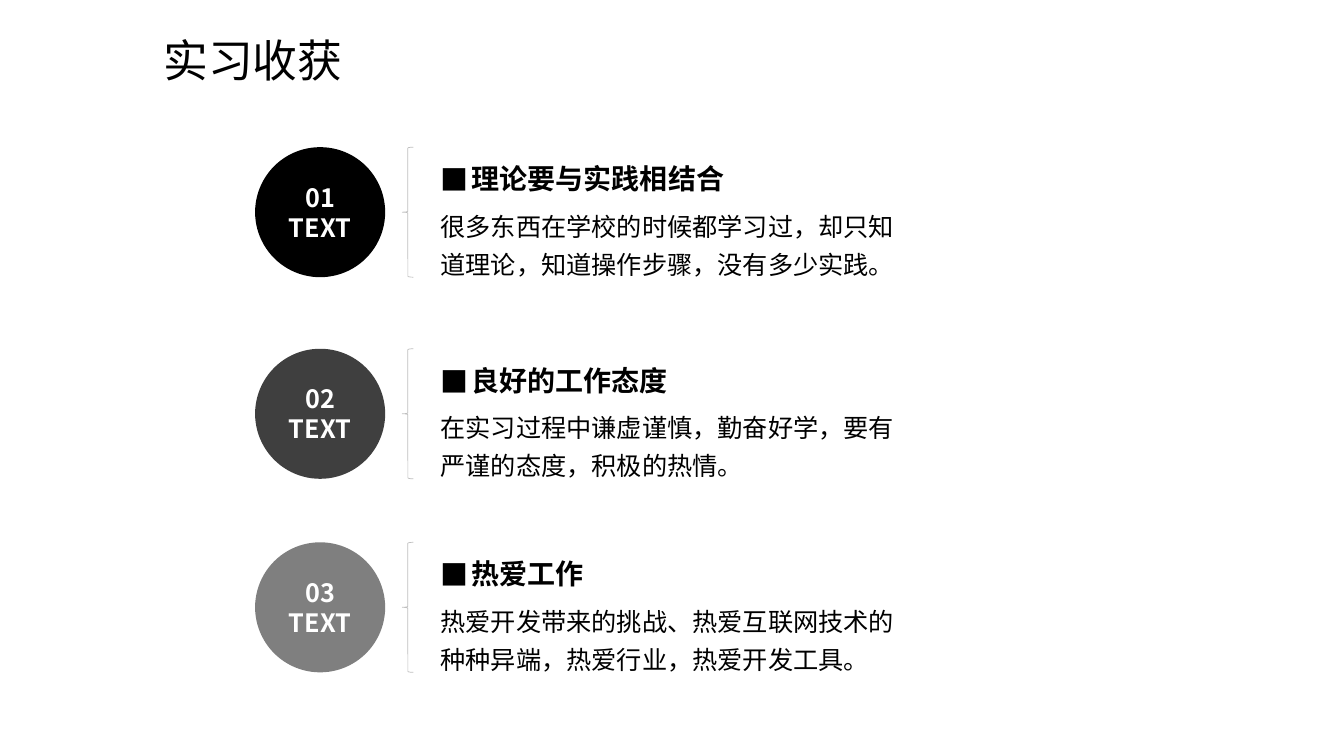
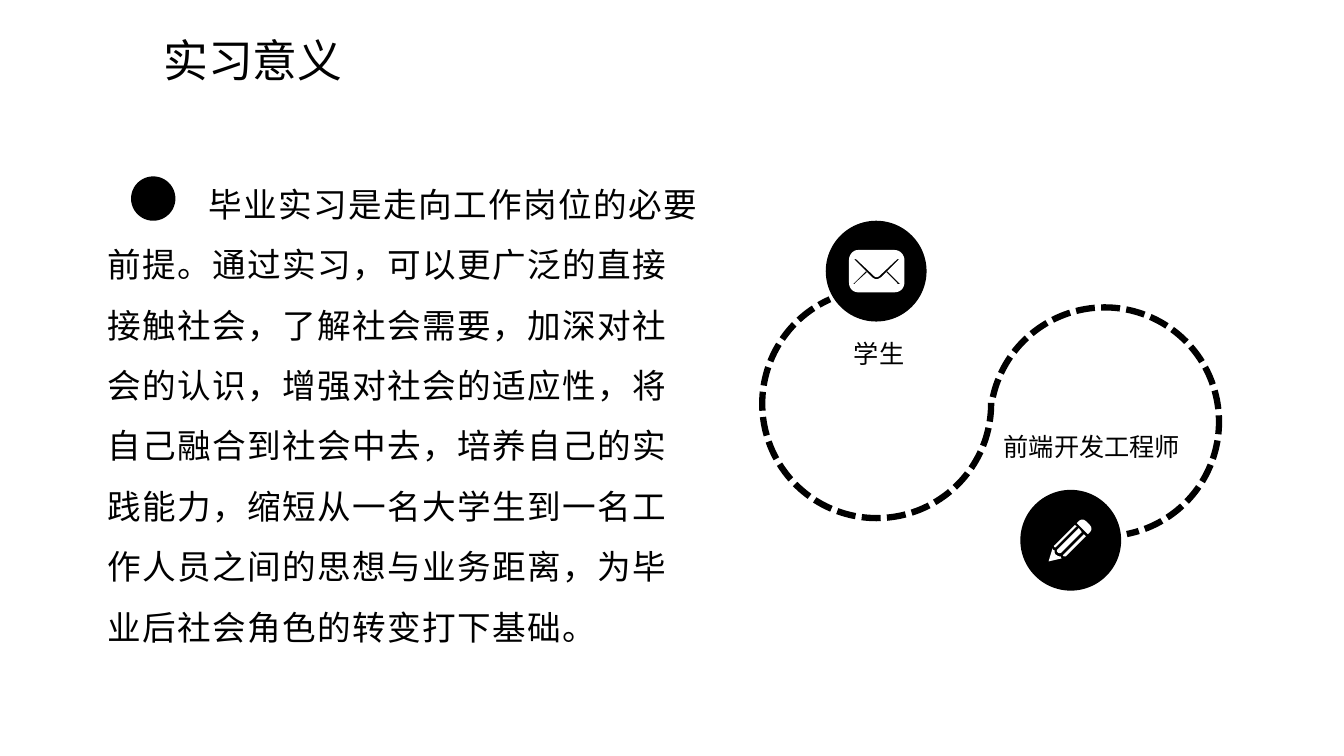
from dataclasses import dataclass
from typing import Any

from lxml.etree import SubElement
from pptx import Presentation
from pptx.dml.color import RGBColor
from pptx.enum.dml import MSO_LINE
from pptx.enum.shapes import MSO_SHAPE
from pptx.enum.text import MSO_ANCHOR, MSO_AUTO_SIZE, PP_ALIGN
from pptx.oxml.ns import qn
from pptx.util import Pt

PX = 9144
FONT = "Noto Sans CJK SC"
BLACK, WHITE, GREY = "000000", "FFFFFF", "BFBFBF"
Box = tuple[int, int, int, int]
Path = list[tuple[int, ...]]

TITLE = {"size": Pt(32), "bold": False}
HEAD = {"size": Pt(20), "bold": True}
BADGE = {"size": Pt(18), "bold": True}
PLAIN = {"size": Pt(18), "bold": False}
PROSE = {"size": Pt(24), "bold": False}
LEFT = {"alignment": PP_ALIGN.LEFT}
MID = {"alignment": PP_ALIGN.CENTER}
FIRST = {"line_spacing": 1.25, "space_before": Pt(0)}
NEXT = {"line_spacing": 1.25, "space_before": Pt(6)}
LOOSE = {"line_spacing": 1.5, "space_before": Pt(0), "alignment": PP_ALIGN.LEFT}
FRAME = {"word_wrap": True, "auto_size": MSO_AUTO_SIZE.NONE}
CENTRE = {"vertical_anchor": MSO_ANCHOR.MIDDLE, "auto_size": MSO_AUTO_SIZE.NONE}


@dataclass
class Gain:
    top: int
    fill: str
    num: str
    head: str
    text: str


@dataclass
class Arc:
    box: Box
    turn: float


@dataclass
class Stop:
    dot: tuple[int, int]
    label: Box
    text: str
    icon: list[Path]


GAINS = [
    Gain(146, BLACK, "01", "理论要与实践相结合",
         "很多东西在学校的时候都学习过，却只知道理论，知道操作步骤，没有多少实践。"),
    Gain(346, "3F3F3F", "02", "良好的工作态度",
         "在实习过程中谦虚谨慎，勤奋好学，要有严谨的态度，积极的热情。"),
    Gain(538, "7F7F7F", "03", "热爱工作",
         "热爱开发带来的挑战、热爱互联网技术的种种异端，热爱行业，热爱开发工具。"),
]

MAIL: list[Path] = [
    [(880, 269), (879, 270), (890, 281), (890, 282), (893, 282)],
    [(859, 269), (846, 282), (848, 282), (848, 281), (860, 270)],
    [(847, 257), (865, 275), (866, 276, 868, 277, 869, 277),
     (871, 277, 872, 276, 874, 275), (892, 257), (890, 257), (873, 273),
     (872, 274, 871, 275, 869, 275), (868, 275, 867, 274, 866, 273), (849, 257)],
    [(851, 248), (887, 248), (893, 248, 897, 253, 897, 258), (897, 280),
     (897, 286, 893, 290, 887, 290), (851, 290),
     (846, 290, 842, 286, 842, 280), (842, 258), (842, 253, 846, 248, 851, 248)],
]
PENCIL: list[Path] = [
    [(1081, 528), (1079, 530), (1068, 519), (1070, 517),
     (1072, 515, 1075, 515, 1077, 517), (1081, 521),
     (1083, 523, 1083, 526, 1081, 528)],
    [(1055, 550), (1054, 551, 1054, 551, 1055, 552),
     (1055, 552, 1056, 552, 1057, 552), (1077, 532), (1075, 530)],
    [(1046, 541), (1045, 541, 1045, 542, 1046, 543),
     (1046, 543, 1047, 543, 1047, 543), (1068, 522), (1066, 521)],
    [(1070, 524), (1049, 545), (1048, 546, 1048, 547, 1049, 548),
     (1050, 549, 1052, 549, 1053, 548), (1073, 528)],
    [(1053, 554), (1052, 553, 1052, 552, 1052, 552), (1051, 552),
     (1050, 552, 1048, 551, 1047, 550), (1046, 549, 1046, 548, 1046, 546),
     (1045, 546, 1044, 545, 1044, 545), (1044, 544), (1040, 557)],
]

ARCS = [Arc((982, 305, 227, 227), 78.8), Arc((756, 287, 227, 227), 245.9)]
STOPS = [
    Stop((819, 219), (782, 331, 180, 40), "学生", MAIL),
    Stop((1012, 486), (977, 423, 212, 40), "前端开发工程师", PENCIL),
]
ESSAY = (
    "毕业实习是走向工作岗位的必要前提。通过实习，可以更广泛的直接接触社会，"
    "了解社会需要，加深对社会的认识，增强对社会的适应性，将自己融合到社会中去，"
    "培养自己的实践能力，缩短从一名大学生到一名工作人员之间的思想与业务距离，"
    "为毕业后社会角色的转变打下基础。"
)


def tint(code: str) -> RGBColor:
    return RGBColor.from_string(code)


def apply(item: Any, form: dict) -> None:
    for key, value in form.items():
        setattr(item, key, value)


def place(shape: Any, box: Box) -> None:
    apply(shape, dict(zip(("left", "top", "width", "height"), (n * PX for n in box))))


def write(para: Any, text: str, font: dict, form: dict, ink: str = BLACK) -> Any:
    apply(para, form)
    run = para.add_run()
    run.text = text
    apply(run.font, {"name": FONT, **font})
    run.font.color.rgb = tint(ink)
    props = run._r.get_or_add_rPr()
    SubElement(props, qn("a:ea")).set("typeface", FONT)
    return props


def indent(para: Any, left: int, first: int, mark: str = "") -> None:
    props = para._p.get_or_add_pPr()
    props.set("marL", str(left * PX))
    props.set("indent", str(first * PX))
    if mark:
        SubElement(props, qn("a:buFont")).set("typeface", FONT)
        SubElement(props, qn("a:buChar")).set("char", mark)
    else:
        SubElement(props, qn("a:buNone"))


def paint(shape: Any, fill: str) -> None:
    shape.shadow.inherit = False
    shape.fill.solid()
    shape.fill.fore_color.rgb = tint(fill)
    shape.line.fill.background()


def stroke(shape: Any, ink: str, width: float) -> None:
    shape.shadow.inherit = False
    shape.fill.background()
    shape.line.color.rgb = tint(ink)
    shape.line.width = Pt(width)


def add(slide: Any, kind: Any, box: Box) -> Any:
    return slide.shapes.add_shape(kind, *(n * PX for n in box))


def disc(slide: Any, left: int, top: int, size: int, fill: str) -> Any:
    shape = add(slide, MSO_SHAPE.OVAL, (left, top, size, size))
    paint(shape, fill)
    return shape


def note(slide: Any, box: Box) -> Any:
    frame = slide.shapes.add_textbox(*(n * PX for n in box)).text_frame
    apply(frame, FRAME)
    return frame


def trace(path: Path, steps: int = 8) -> list[tuple[float, float]]:
    spots: list[tuple[float, float]] = []
    for part in path:
        if len(part) == 2:
            spots.append((part[0] * PX, part[1] * PX))
            continue
        x, y = spots[-1]
        a, b, c, d, e, f = (n * PX for n in part)
        for i in range(1, steps + 1):
            t = i / steps
            u = 1 - t
            k = (u ** 3, 3 * u * u * t, 3 * u * t * t, t ** 3)
            spots.append((k[0] * x + k[1] * a + k[2] * c + k[3] * e,
                          k[0] * y + k[1] * b + k[2] * d + k[3] * f))
    return spots


def draw(slide: Any, icon: list[Path]) -> None:
    lines = [trace(path) for path in icon]
    pen = slide.shapes.build_freeform(*lines[0][0])
    for i, spots in enumerate(lines):
        if i:
            pen.move_to(*spots[0])
        pen.add_line_segments(spots[1:], close=True)
    paint(pen.convert_to_shape(), WHITE)


def start(deck: Any, layout: int, title: str) -> Any:
    slide = deck.slides.add_slide(deck.slide_layouts[layout])
    shape = slide.shapes.title
    place(shape, (152, 27, 778, 64))
    apply(shape.text_frame, CENTRE)
    write(shape.text_frame.paragraphs[0], title, TITLE, LEFT)
    return slide


def gain(slide: Any, item: Gain) -> None:
    frame = disc(slide, 253, item.top, 129, item.fill).text_frame
    apply(frame, {**CENTRE, "word_wrap": False})
    write(frame.paragraphs[0], item.num, BADGE, MID, WHITE)
    write(frame.add_paragraph(), "TEXT", BADGE, MID, WHITE)
    stroke(add(slide, MSO_SHAPE.LEFT_BRACE, (399, item.top, 11, 129)), GREY, 0.5)
    frame = note(slide, (427, item.top + 1, 480, 133))
    head = frame.paragraphs[0]
    indent(head, 31, -31, "■")
    write(head, item.head, HEAD, FIRST)
    write(frame.add_paragraph(), item.text, PLAIN, NEXT)


def curve(slide: Any, item: Arc) -> None:
    shape = add(slide, MSO_SHAPE.ARC, item.box)
    shape.adjustments[0] = 68.18
    shape.adjustments[1] = 0
    shape.rotation = item.turn
    stroke(shape, BLACK, 4.5)
    shape.line.dash_style = MSO_LINE.SQUARE_DOT


def stop(slide: Any, item: Stop) -> None:
    disc(slide, *item.dot, 100, BLACK)
    write(note(slide, item.label).paragraphs[0], item.text, PLAIN, MID)
    draw(slide, item.icon)


def essay(slide: Any) -> None:
    body = slide.placeholders[1]
    place(body, (97, 157, 608, 488))
    apply(body.text_frame, FRAME)
    para = body.text_frame.paragraphs[0]
    indent(para, 0, 100)
    write(para, ESSAY, PROSE, LOOSE).set("spc", "100")
    disc(slide, 130, 175, 44, BLACK)


def main() -> None:
    deck = Presentation()
    apply(deck, {"slide_width": 1333 * PX, "slide_height": 750 * PX})
    slide = start(deck, 5, "实习收获")
    for item in GAINS:
        gain(slide, item)
    slide = start(deck, 1, "实习意义")
    for arc in ARCS:
        curve(slide, arc)
    for item in STOPS:
        stop(slide, item)
    essay(slide)
    deck.save("out.pptx")


if __name__ == "__main__":
    main()
